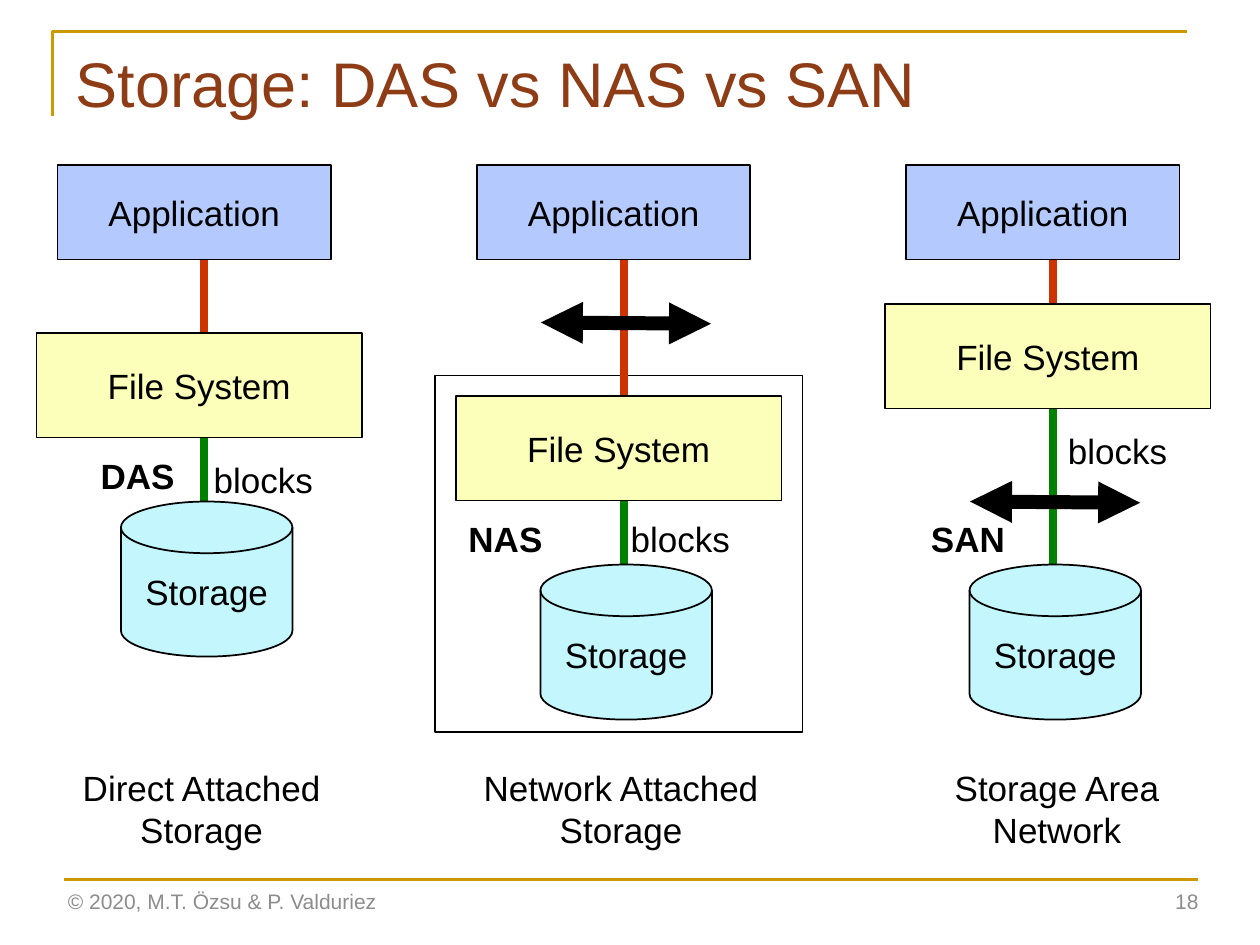
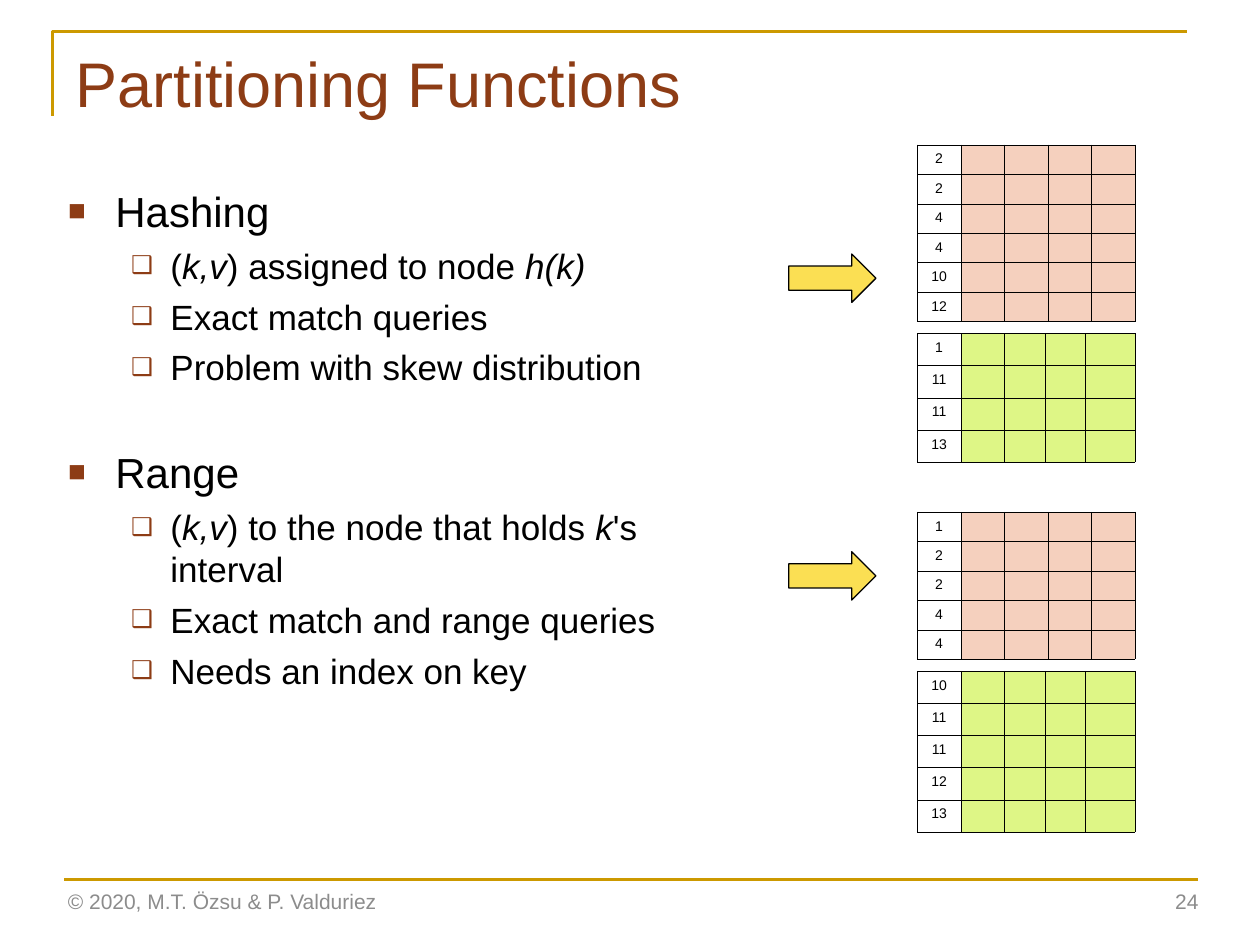
from lxml import etree
from pptx import Presentation
from pptx import util as u
from pptx.dml.color import RGBColor
from pptx.enum import shapes, text
from pptx.oxml.ns import qn

Pt = u.Pt
FONT = "Arial"
COLORS = {
    "title": "8D3C15",
    "gold": "CC9900",
    "footer": "8C8C8C",
    "black": "000000",
    "white": "FFFFFF",
    "application": "B4C9FE",
    "file_system": "FBFFB9",
    "storage": "C3F6FD",
    "request": "CC3300",
    "blocks": "008000",
    "arrow": "FBDF53",
    "first_node": "F5D0BE",
    "second_node": "DEF686",
}
CENTER = text.PP_ALIGN.CENTER
RECTANGLE = shapes.MSO_SHAPE.RECTANGLE
TABLE_LEFT = 524.2
FIRST_NODE_COLUMNS = [24.9] * 5
SECOND_NODE_COLUMNS = [24.9, 24.9, 23.4, 22.9, 28.4]


def color(name):
    return RGBColor.from_string(COLORS[name])


def format_run(run, size, color_name="black", bold=False, italic=False):
    run.font.name = FONT
    run.font.size = Pt(size)
    run.font.color.rgb = color(color_name)
    run.font.bold = bold
    run.font.italic = italic


def place(shape, left, top, width, height):
    shape.left, shape.top = Pt(left), Pt(top)
    shape.width, shape.height = Pt(width), Pt(height)


def style_outline(shape, fill, line, width):
    shape.shadow.inherit = False
    if fill:
        shape.fill.solid()
        shape.fill.fore_color.rgb = color(fill)
    else:
        shape.fill.background()
    shape.line.color.rgb = color(line)
    shape.line.width = Pt(width)


def write(shape, content, size, color_name="black", bold=False, align=None):
    shape.text_frame.text = content
    paragraph = shape.text_frame.paragraphs[0]
    paragraph.alignment = align
    format_run(paragraph.runs[0], size, color_name, bold)


def add_text(slide, box, content, size=20, color_name="black", bold=False,
             align=CENTER, anchor=text.MSO_ANCHOR.TOP, wrap=True):
    shape = slide.shapes.add_textbox(*map(Pt, box))
    shape.text_frame.word_wrap = wrap
    shape.text_frame.vertical_anchor = anchor
    write(shape, content, size, color_name, bold, align)


def add_box(slide, kind, box, fill, content="", line_width=1):
    shape = slide.shapes.add_shape(kind, *map(Pt, box))
    style_outline(shape, fill, "black", line_width)
    if content:
        shape.text_frame.word_wrap = False
        shape.text_frame.vertical_anchor = text.MSO_ANCHOR.MIDDLE
        write(shape, content, 20, align=CENTER)


def add_line(slide, start, end, color_name, width, arrows=False):
    line = slide.shapes.add_connector(
        shapes.MSO_CONNECTOR.STRAIGHT, *map(Pt, start + end))
    line.line.color.rgb = color(color_name)
    line.line.width = Pt(width)
    properties = line._element.spPr
    if arrows:
        outline = properties.find(qn("a:ln"))
        for tag in ("a:headEnd", "a:tailEnd"):
            etree.SubElement(outline, qn(tag), type="triangle")
    etree.SubElement(properties, qn("a:effectLst"))


def add_slide(presentation, layout, title, number):
    slide = presentation.slides.add_slide(presentation.slide_layouts[layout])
    builder = slide.shapes.build_freeform(Pt(30.2), Pt(66.2))
    builder.add_line_segments(
        [(Pt(30.2), Pt(18)), (Pt(678.2), Pt(18))], close=False)
    style_outline(builder.convert_to_shape(), None, "gold", 1.5)
    add_line(slide, (36.7, 502.6), (684.7, 502.6), "gold", 1.5)
    heading = slide.shapes.title
    place(heading, 36, 21.6, 648, 90)
    write(heading, title, 36, "title", align=text.PP_ALIGN.LEFT)
    heading.text_frame.vertical_anchor = text.MSO_ANCHOR.TOP
    heading.text_frame.auto_size = text.MSO_AUTO_SIZE.NONE
    middle = text.MSO_ANCHOR.MIDDLE
    add_text(slide, (31.7, 500.4, 243.4, 28.8),
             "© 2020, M.T. Özsu & P. Valduriez", 12, "footer",
             align=text.PP_ALIGN.LEFT, anchor=middle)
    add_text(slide, (529.9, 500.4, 162, 28.8), str(number), 12, "footer",
             align=text.PP_ALIGN.RIGHT, anchor=middle)
    return slide


def add_architecture(slide, left, file_top, storage_top, label, label_at,
                     blocks_at, caption, caption_left, network_top=None):
    axis = left + 95.9
    add_line(slide, (axis, 148.3), (axis, file_top), "request", 4.5)
    add_line(slide, (axis, file_top + 60), (axis, storage_top), "blocks", 4.5)
    add_box(slide, RECTANGLE, (left + 12, 94.3, 156.2, 54),
            "application", "Application")
    add_box(slide, RECTANGLE, (left, file_top, 186, 60),
            "file_system", "File System")
    add_box(slide, shapes.MSO_SHAPE.FLOWCHART_MAGNETIC_DISK,
            (left + 48.2, storage_top, 98, 88.6), "storage", "Storage")
    if network_top:
        add_line(slide, (left + 48.5, network_top),
                 (left + 145.7, network_top + 0.7), "black", 8, arrows=True)
    add_text(slide, (*label_at, 56.9, 31.7), label, bold=True,
             align=text.PP_ALIGN.LEFT, wrap=False)
    add_text(slide, (*blocks_at, 73.4, 31.7), "blocks")
    add_text(slide, (caption_left, 434.2, 175.7, 55.4), caption)


def add_bullet(paragraph, content, level, space_before):
    size, character, indent, hanging = [
        (24, "■", 27, 27), (20, "❑", 58.5, 22.5)][level]
    paragraph.level = level
    paragraph.space_before = Pt(space_before)
    paragraph.alignment = text.PP_ALIGN.LEFT
    for index, piece in enumerate(content.split("*")):
        if piece:
            run = paragraph.add_run()
            run.text = piece
            format_run(run, size, italic=index % 2 == 1)
    properties = paragraph._p.get_or_add_pPr()
    properties.set("marL", str(Pt(indent)))
    properties.set("indent", str(-Pt(hanging)))
    bullet_color = etree.SubElement(properties, qn("a:buClr"))
    etree.SubElement(bullet_color, qn("a:srgbClr"), val=COLORS["title"])
    etree.SubElement(properties, qn("a:buSzPct"), val="70000")
    etree.SubElement(properties, qn("a:buFont"), typeface=FONT)
    etree.SubElement(properties, qn("a:buChar"), char=character)


def fill_body(slide, sections):
    body = slide.placeholders[1]
    place(body, 31.7, 102.2, 390.2, 355)
    frame = body.text_frame
    frame.auto_size = text.MSO_AUTO_SIZE.NONE
    for number, (heading, items) in enumerate(sections):
        paragraph = frame.add_paragraph() if number else frame.paragraphs[0]
        add_bullet(paragraph, heading, 0, 33.5 if number else 5.5)
        for item in items:
            add_bullet(frame.add_paragraph(), item, 1, 5)


def border_cell(cell):
    properties = cell._tc.get_or_add_tcPr()
    for side in ("L", "R", "T", "B"):
        border = etree.SubElement(
            properties, qn("a:ln" + side), w=str(Pt(0.25)))
        fill = etree.SubElement(border, qn("a:solidFill"))
        etree.SubElement(fill, qn("a:srgbClr"), val=COLORS["black"])


def add_partition(slide, top, keys, columns, row_height, fill):
    frame = slide.shapes.add_table(
        len(keys), len(columns), Pt(TABLE_LEFT), Pt(top),
        Pt(sum(columns)), Pt(row_height * len(keys)))
    table = frame.table
    table.first_row = table.horz_banding = False
    for column, width in zip(table.columns, columns):
        column.width = Pt(width)
    for row, key in zip(table.rows, keys):
        row.height = Pt(row_height)
        for index, cell in enumerate(row.cells):
            border_cell(cell)
            if index:
                cell.fill.solid()
                cell.fill.fore_color.rgb = color(fill)
                etree.SubElement(cell.text_frame.paragraphs[0]._p,
                                 qn("a:endParaRPr"), sz="800")
            else:
                cell.fill.background()
                write(cell, str(key), 8, align=CENTER)


def build_storage(presentation):
    slide = add_slide(presentation, 5, "Storage: DAS vs NAS vs SAN", 18)
    add_box(slide, RECTANGLE, (248.4, 214.6, 210.2, 203.8), "white")
    add_architecture(slide, 20.9, 190.1, 286.6, "DAS", (50.4, 256.3),
                     (113.8, 258.5), "Direct Attached Storage", 27.4)
    add_architecture(slide, 260.6, 226.1, 322.6, "NAS", (260.6, 292.3),
                     (352.1, 292.3), "Network Attached Storage", 267.1,
                     network_top=184.3)
    add_architecture(slide, 505.8, 173.5, 322.6, "SAN", (524.9, 292.3),
                     (601.9, 241.9), "Storage Area Network", 516.2,
                     network_top=286.6)


def build_partitioning(presentation):
    slide = add_slide(presentation, 1, "Partitioning Functions", 24)
    fill_body(slide, [
        ("Hashing", ["(*k,v*) assigned to node *h(k)*",
                     "Exact match queries",
                     "Problem with skew distribution"]),
        ("Range", ["(*k,v*) to the node that holds *k*'s interval",
                   "Exact match and range queries",
                   "Needs an index on key"]),
    ])
    for top, keys in ((82.8, [2, 2, 4, 4, 10, 12]), (292.6, [1, 2, 2, 4, 4])):
        add_partition(slide, top, keys, FIRST_NODE_COLUMNS, 16.2, "first_node")
    for top, keys in ((190.5, [1, 11, 11, 13]), (383.4, [10, 11, 11, 12, 13])):
        add_partition(slide, top, keys, SECOND_NODE_COLUMNS, 18.4,
                      "second_node")
    for top in (145.2, 315.3):
        add_box(slide, shapes.MSO_SHAPE.RIGHT_ARROW, (450.7, top, 49.8, 27.6),
                "arrow", line_width=0.75)


def main():
    presentation = Presentation()
    presentation.slide_width = Pt(720)
    presentation.slide_height = Pt(540)
    build_storage(presentation)
    build_partitioning(presentation)
    presentation.save("out.pptx")


if __name__ == "__main__":
    main()
